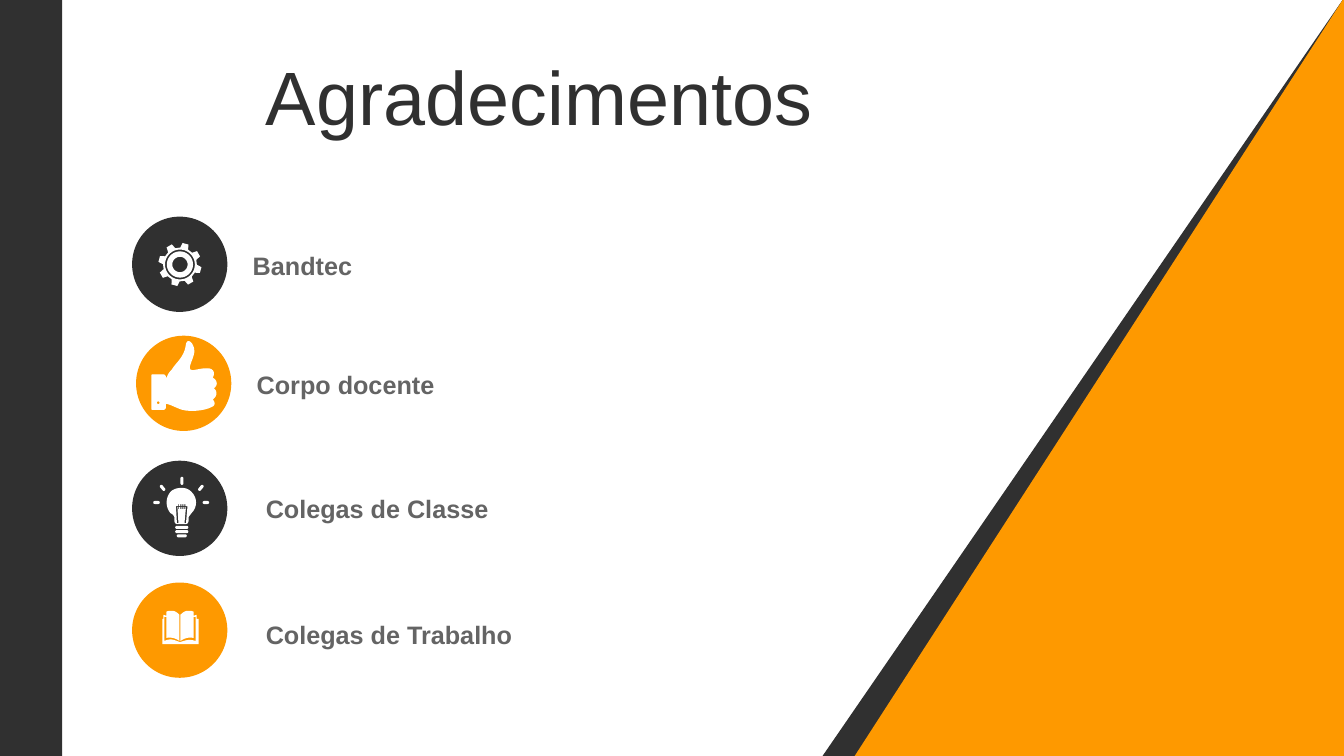
import math

import pptx
import pptx.dml.color
import pptx.enum.shapes
import pptx.enum.text
import pptx.util

Cm = pptx.util.Cm
DARK = pptx.dml.color.RGBColor(0x30, 0x30, 0x30)
ORANGE = pptx.dml.color.RGBColor(0xFE, 0x99, 0x00)
GREY = pptx.dml.color.RGBColor(0x64, 0x64, 0x64)
WHITE = pptx.dml.color.RGBColor(0xFF, 0xFF, 0xFF)

PAGE_WIDTH, PAGE_HEIGHT = Cm(33.87), Cm(19.05)
DISC_SIDE = Cm(2.4)
DISC_UNITS = 94.5
LABEL_WIDTH, LABEL_HEIGHT = Cm(16.08), Cm(1.02)


def paint(shape, color):
    shape.shadow.inherit = False
    shape.fill.solid()
    shape.fill.fore_color.rgb = color
    shape.line.fill.background()
    return shape


def add_preset(page, kind, box, color):
    return paint(page.shapes.add_shape(kind, *box), color)


def add_outline(page, contours, color):
    builder = None
    for contour in contours:
        points = [(round(x), round(y)) for x, y in contour]
        if builder is None:
            builder = page.shapes.build_freeform(*points[0], scale=1.0)
        else:
            builder.move_to(*points[0])
        builder.add_line_segments(points[1:], close=True)
    return paint(builder.convert_to_shape(), color)


def add_text(page, box, text, *, size, color, bold=False, line_spacing=None, grow=False):
    frame = page.shapes.add_textbox(*box).text_frame
    frame.word_wrap = True
    frame.vertical_anchor = pptx.enum.text.MSO_ANCHOR.MIDDLE
    if grow:
        frame.auto_size = pptx.enum.text.MSO_AUTO_SIZE.SHAPE_TO_FIT_TEXT
    para = frame.paragraphs[0]
    if line_spacing:
        para.line_spacing = line_spacing
    span = para.add_run()
    span.text = text
    span.font.name = "Arial"
    span.font.size = pptx.util.Pt(size)
    span.font.bold = bold
    span.font.color.rgb = color


def trace(start, *steps):
    points = [start]
    for step in steps:
        if len(step) == 2:
            points.append(step)
            continue
        x0, y0 = points[-1]
        x1, y1, x2, y2, x3, y3 = step
        for part in range(1, 9):
            t = part / 8
            u = 1 - t
            a, b, c, d = u ** 3, 3 * u * u * t, 3 * u * t * t, t ** 3
            points.append((a * x0 + b * x1 + c * x2 + d * x3,
                           a * y0 + b * y1 + c * y2 + d * y3))
    return points


def polar(center, radius, degrees):
    angle = math.radians(degrees)
    return center[0] + radius * math.cos(angle), center[1] + radius * math.sin(angle)


def circle(center, radius):
    return [polar(center, radius, degrees) for degrees in range(0, 360, 10)]


def pill(start, end, radius=1.5):
    heading = math.degrees(math.atan2(end[1] - start[1], end[0] - start[0]))
    return [polar(center, radius, heading + first + turn)
            for center, first in ((end, -90), (start, 90))
            for turn in range(0, 181, 30)]


def gear():
    center = (47.5, 47.5)
    teeth = [polar(center, radius, 15 + 45 * tooth + offset)
             for tooth in range(8)
             for radius, offset in ((16.8, -14), (21.5, -8), (21.5, 8), (16.8, 14))]
    return [teeth] + [circle(center, radius) for radius in (14.8, 13, 7.6)]


def thumb():
    hand = trace(
        (52, 6), (54, 6, 56, 9, 57, 13), (59, 21, 47, 34, 56, 35),
        (62, 34, 65, 33, 71, 33), (77, 33, 78, 38, 75, 42),
        (79, 43, 82, 49, 76, 52), (82, 56, 78, 62, 75, 63),
        (78, 66, 78, 69, 75, 70), (68, 74, 50, 76, 41, 71),
        (36, 69, 33, 67, 29, 67), (29, 71), (29, 72, 28, 73, 27, 73),
        (16, 73), (16, 39), (27, 39), (28, 39, 29, 40, 29, 41), (29, 42),
        (31, 42), (32, 39, 33, 37, 36, 34), (41, 26, 48, 22, 50, 10),
        (50, 8, 51, 6, 52, 6))
    return [hand, circle((22, 66.5), 2)]


def bulb():
    glass = trace(
        (49, 27), (53, 27, 56, 28, 59, 31), (65, 37, 65, 46, 59, 52),
        (56, 56), (56, 60), (56, 61, 55, 63, 53, 63), (45, 63),
        (43, 63, 42, 61, 42, 60), (42, 56), (41, 54, 40, 53, 38, 52),
        (33, 46, 33, 37, 38, 31), (41, 28, 45, 27, 49, 27))
    coils = (46, 48, 50, 52)
    upper = [point for x in coils
             for point in ((x, 45), (x, 43), (x + 0.8, 43), (x + 0.8, 45))]
    lower = [point for x in reversed(coils)
             for point in ((x + 0.8, 46), (x + 0.8, 48), (x, 48), (x, 46))]
    filament = [(43.5, 45), *upper, (55, 45), (53.5, 62), (52, 62), (53.5, 46),
                *lower, (45, 46), (46, 62), (44.5, 62)]
    rays = [pill((22.5, 41.5), (26, 41.5)), pill((71.5, 41.5), (75, 41.5)),
            pill((49.5, 17.5), (49.5, 22.5)),
            pill((29, 25.5), (31.5, 28.5)), pill((69.5, 25.5), (67, 28.5))]
    base = [pill((49.3 - half, y), (49.3 + half, y))
            for y, half in ((66.2, 5), (70.4, 5), (74.6, 3.5))]
    return [glass, filament, *rays, *base]


def book():
    return [trace(
        (47, 59), (48, 59), (54, 57, 57, 56, 63, 58), (63, 34), (61, 34),
        (61, 55), (57, 54, 52, 55, 48, 58), (48, 32), (51, 29, 53, 28, 56, 28),
        (58, 28, 59, 28, 61, 29), (61, 33), (64, 32), (64, 36), (66, 36),
        (66, 61), (30, 61), (30, 36), (31, 36), (31, 32), (34, 33), (34, 29),
        (36, 28, 37, 28, 39, 28), (42, 28, 44, 29, 47, 32), (47, 58),
        (43, 55, 38, 54, 34, 55), (34, 34), (32, 34), (32, 58),
        (38, 55, 42, 57, 47, 59))]


def add_backdrop(page, box):
    left, top, width, height = box
    add_preset(page, pptx.enum.shapes.MSO_SHAPE.RECTANGLE, (left, top, Cm(1.57), height), DARK)
    right, bottom = left + width, top + height
    for base, color in ((Cm(13.14), DARK), (Cm(12.33), ORANGE)):
        corners = [(right, top - Cm(0.05)), (right, bottom), (right - base, bottom)]
        add_outline(page, [corners], color)


def add_thanks_row(page, box, text, contours, color, label_offset, outlined):
    left, top, side = box
    add_preset(page, pptx.enum.shapes.MSO_SHAPE.OVAL, (left, top, side, side), color)
    unit = side / DISC_UNITS
    placed = [[(left + x * unit, top + y * unit) for x, y in contour] for contour in contours]
    icon = add_outline(page, placed, WHITE)
    if outlined:
        icon.line.color.rgb = WHITE
        icon.line.width = pptx.util.Pt(1)
    label_left, label_top = label_offset
    add_text(page, (left + label_left, top + label_top, LABEL_WIDTH, LABEL_HEIGHT), text,
             size=18, color=GREY, bold=True, grow=True)


def add_thanks_page(deck):
    page = deck.slides.add_slide(deck.slide_layouts[6])
    add_backdrop(page, (0, 0, PAGE_WIDTH, PAGE_HEIGHT))
    add_text(page, (Cm(6.45), Cm(1.55), Cm(26.59), Cm(2.01)), "Agradecimentos",
             size=54, color=DARK, line_spacing=0.9)
    rows = (
        ("Bandtec", gear(), DARK, 3.33, 5.46, 2.79, 0.71, False),
        ("Corpo docente", thumb(), ORANGE, 3.43, 8.46, 2.79, 0.73, True),
        ("Colegas de Classe", bulb(), DARK, 3.33, 11.61, 3.12, 0.68, False),
        ("Colegas de Trabalho", book(), ORANGE, 3.33, 14.68, 3.12, 0.79, False),
    )
    for text, contours, color, left, top, label_left, label_top, outlined in rows:
        add_thanks_row(page, (Cm(left), Cm(top), DISC_SIDE), text, contours, color,
                       (Cm(label_left), Cm(label_top)), outlined)


def main():
    deck = pptx.Presentation()
    deck.slide_width, deck.slide_height = PAGE_WIDTH, PAGE_HEIGHT
    add_thanks_page(deck)
    deck.save("out.pptx")


if __name__ == "__main__":
    main()
